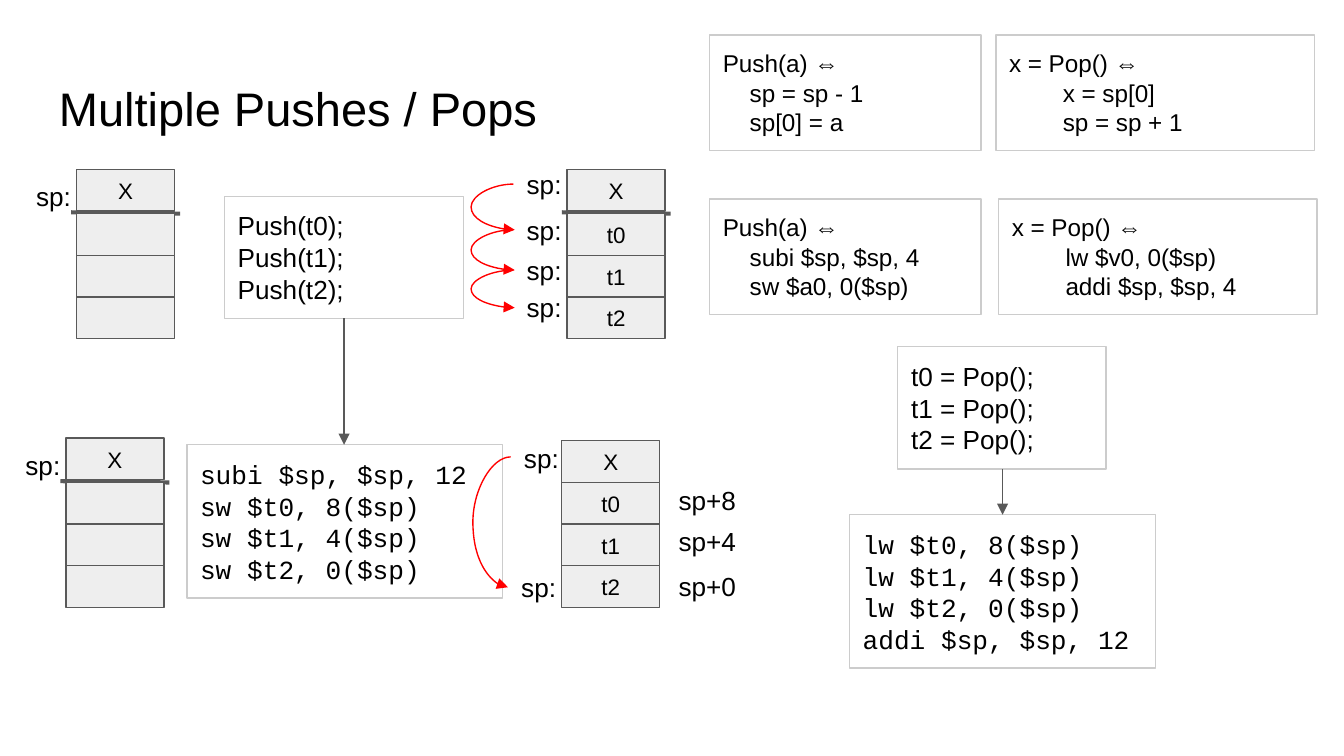
from dataclasses import dataclass

from lxml.etree import SubElement
from pptx import Presentation
from pptx.dml.color import RGBColor
from pptx.enum.shapes import MSO_CONNECTOR, MSO_SHAPE
from pptx.enum.text import MSO_ANCHOR, PP_ALIGN
from pptx.oxml.ns import qn
from pptx.util import Emu, Pt

PX = 9144  # 100 px to the inch


@dataclass(frozen=True)
class Theme:
    ink: str = "000000"
    border: str = "CCCCCC"
    stroke: str = "595959"
    cell: str = "EEEEEE"
    jump: str = "FF0000"
    sans: str = "Arial"
    mono: str = "Courier New"
    title_size: float = 25.2
    code_size: float = 14
    rule_size: float = 13
    cell_size: float = 12
    leading: float = 1.21
    thin: float = 0.75
    thick: float = 2.25


THEME = Theme()

# Content: positions are left, top, width, height in px
TITLE = ("Multiple Pushes / Pops", (34, 49, 932, 63))

CODE_BOXES = [
    ((668, 258, 155, 91), THEME.sans, ["t0 = Pop();", "t1 = Pop();", "t2 = Pop();"]),
    ((167, 146, 178, 91), THEME.sans, ["Push(t0);", "Push(t1);", "Push(t2);"]),
    ((139, 331, 235, 114), THEME.mono,
     ["subi $sp, $sp, 12", "sw $t0, 8($sp)", "sw $t1, 4($sp)", "sw $t2, 0($sp)"]),
    ((632, 383, 228, 114), THEME.mono,
     ["lw $t0, 8($sp)", "lw $t1, 4($sp)", "lw $t2, 0($sp)", "addi $sp, $sp, 12"]),
]

# Definitions: position, body indent, heading and two-line body
RULE_BOXES = [
    ((741, 26, 237, 86), 40, ["x = Pop() ⇔", "x = sp[0]\nsp = sp + 1"]),
    ((528, 26, 202, 86), 20, ["Push(a) ⇔", "sp = sp - 1\nsp[0] = a"]),
    ((743, 148, 237, 86), 40, ["x = Pop() ⇔", "lw $v0, 0($sp)\naddi $sp, $sp, 4"]),
    ((528, 148, 202, 86), 20, ["Push(a) ⇔", "subi $sp, $sp, 4\nsw $a0, 0($sp)"]),
]

# Stacks: left, top, has a bar under the first cell, cell texts
FULL, EMPTY = ["X", "t0", "t1", "t2"], ["X", "", "", ""]
STACKS = [
    (422, 126, True, FULL),
    (57, 126, True, EMPTY),
    (49, 326, True, EMPTY),
    (418, 328, False, FULL),
]
CELL_WIDTH, CELL_HEIGHT, BAR_GAP, BAR_OVERHANG = 73, 31, 2, 4

# Labels: text, width, left and top of each
LABELS = [
    ("sp:", 51, [(382, 115), (382, 149), (382, 179), (382, 207),
                 (17, 124), (9, 324), (380, 319), (378, 415)]),
    ("sp+8", 71, [(495, 350)]),
    ("sp+4", 71, [(495, 381)]),
    ("sp+0", 71, [(495, 414)]),
]
LABEL_HEIGHT = 44

ARROWS = [((746, 349), (746, 383)), ((256, 237), (256, 331))]

# Pointer jumps: start, end, x of the bulge
POINTER_STOPS = [137, 171, 201, 229]
JUMPS = [((382, top), (383, bottom), 350)
         for top, bottom in zip(POINTER_STOPS, POINTER_STOPS[1:])]
JUMPS.append(((380, 340), (378, 437), 352))


def px(value):
    return Emu(value * PX)


def color(value):
    return RGBColor.from_string(value)


def write(shape, lines, size, font=THEME.sans, indent=0, centered=False):
    frame = shape.text_frame
    frame.word_wrap = True
    frame.margin_left = frame.margin_right = px(10)
    frame.margin_top = frame.margin_bottom = px(10)
    frame.vertical_anchor = MSO_ANCHOR.MIDDLE if centered else MSO_ANCHOR.TOP
    for index, line in enumerate(lines):
        para = frame.add_paragraph() if index else frame.paragraphs[0]
        para.alignment = PP_ALIGN.CENTER if centered else PP_ALIGN.LEFT
        para.line_spacing = Pt(size * THEME.leading)
        if index and indent:
            para._p.get_or_add_pPr().set("marL", str(px(indent)))
        for part, text in enumerate(line.split("\n")):
            if part:
                para.add_line_break()
            span = para.add_run()
            span.text = text
            span.font.name = font
            span.font.size = Pt(size)
            span.font.color.rgb = color(THEME.ink)


def add_label(page, text, place, size):
    write(page.shapes.add_textbox(*map(px, place)), [text], size)


def add_box(page, place, line, fill=None):
    box = page.shapes.add_shape(MSO_SHAPE.RECTANGLE, *map(px, place))
    box.shadow.inherit = False
    if fill:
        box.fill.solid()
        box.fill.fore_color.rgb = color(fill)
    else:
        box.fill.background()
    box.line.color.rgb = color(line)
    box.line.width = Pt(THEME.thin)
    return box


def add_line(page, start, end, stroke, width, arrow=False, bulge=None):
    kind = MSO_CONNECTOR.STRAIGHT if bulge is None else MSO_CONNECTOR.CURVE
    line = page.shapes.add_connector(kind, *map(px, start + end))
    line.line.color.rgb = color(stroke)
    line.line.width = Pt(width)
    properties = line._element.spPr
    if arrow:
        SubElement(line.line._get_or_add_ln(), qn("a:tailEnd"), type="triangle")
    if bulge is not None:
        bend = round((bulge - start[0]) / (end[0] - start[0]) * 100000)
        guides = properties.find(qn("a:prstGeom")).get_or_add_avLst()
        SubElement(guides, qn("a:gd"), name="adj1", fmla=f"val {bend}")
    SubElement(properties, qn("a:effectLst"))


def add_stack(page, left, top, has_bar, texts):
    gap = BAR_GAP if has_bar else 0
    if has_bar:
        bar_top = top + CELL_HEIGHT + 1
        add_line(page, (left - BAR_OVERHANG, bar_top),
                 (left + CELL_WIDTH + BAR_OVERHANG, bar_top + 1),
                 THEME.stroke, THEME.thick)
    for row, text in enumerate(texts):
        cell_top = top + row * CELL_HEIGHT + (gap if row else 0)
        cell = add_box(page, (left, cell_top, CELL_WIDTH, CELL_HEIGHT),
                       THEME.stroke, THEME.cell)
        if text:
            write(cell, [text], THEME.cell_size, centered=True)


def main():
    deck = Presentation()
    deck.slide_width = px(1000)
    deck.slide_height = Emu(deck.slide_width * 9 // 16)
    page = deck.slides.add_slide(deck.slide_layouts[6])

    # Title and code
    add_label(page, *TITLE, THEME.title_size)
    for place, font, lines in CODE_BOXES:
        write(add_box(page, place, THEME.border), lines, THEME.code_size, font)

    # Stacks with their labels
    for stack in STACKS:
        add_stack(page, *stack)
    for text, width, spots in LABELS:
        for left, top in spots:
            add_label(page, text, (left, top, width, LABEL_HEIGHT), THEME.code_size)

    # Arrows and pointer jumps
    for start, end in ARROWS:
        add_line(page, start, end, THEME.stroke, THEME.thin, arrow=True)
    for start, end, bulge in JUMPS:
        add_line(page, start, end, THEME.jump, THEME.thin, arrow=True, bulge=bulge)

    # Definitions of push and pop
    for place, indent, lines in RULE_BOXES:
        write(add_box(page, place, THEME.border), lines, THEME.rule_size, indent=indent)

    deck.save("out.pptx")


if __name__ == "__main__":
    main()
